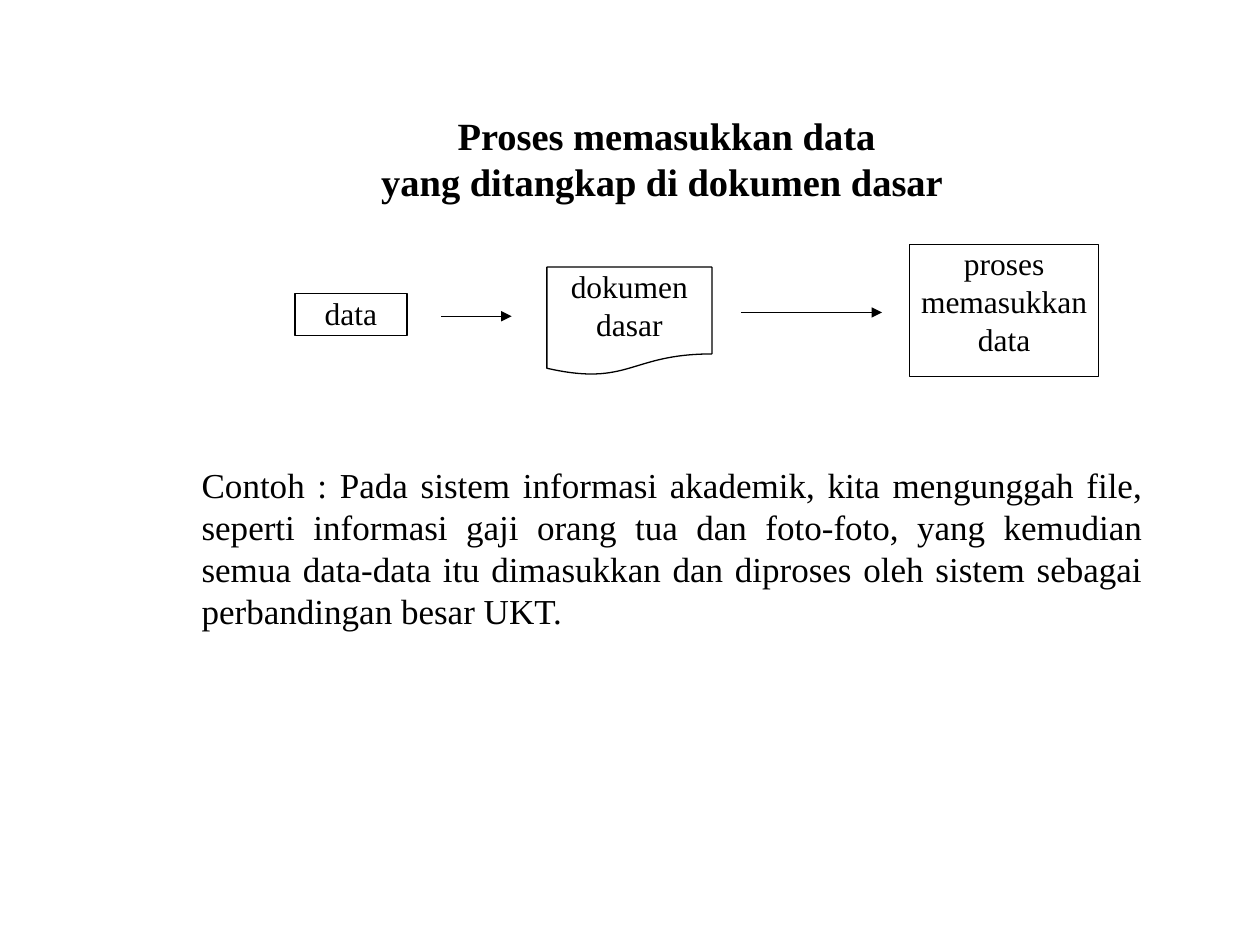
from lxml import etree
from pptx import Presentation
from pptx.dml.color import RGBColor
from pptx.enum.shapes import MSO_CONNECTOR, MSO_SHAPE
from pptx.enum.text import MSO_ANCHOR, MSO_AUTO_SIZE, PP_ALIGN
from pptx.oxml.ns import qn
from pptx.util import Pt

RECT, DOCUMENT = MSO_SHAPE.RECTANGLE, MSO_SHAPE.FLOWCHART_DOCUMENT
CENTER, JUSTIFY = PP_ALIGN.CENTER, PP_ALIGN.JUSTIFY
TOP, MIDDLE = MSO_ANCHOR.TOP, MSO_ANCHOR.MIDDLE
BLACK = RGBColor(0, 0, 0)
FONT = "Times New Roman"
LINE_WIDTH = 0.75

# Content; boxes are left, top, width, height in points
TITLE = "Proses memasukkan data\nyang ditangkap di dokumen dasar "
TITLE_BOX = (149.76, 48.24, 462.24, 84.24)
EXAMPLE = (
    "Contoh : Pada sistem informasi akademik, kita mengunggah file, "
    "seperti informasi gaji orang tua dan foto-foto, yang kemudian semua "
    "data-data itu dimasukkan dan diproses oleh sistem sebagai "
    "perbandingan besar UKT."
)
EXAMPLE_BOX = (108, 261.36, 552.24, 149.76)
STEPS = [
    ("data", RECT, (168.48, 167.76, 64.08, 24)),
    ("dokumen dasar", DOCUMENT, (312.48, 152.64, 94.32, 61.92)),
    ("proses\nmemasukkan\ndata", RECT, (519.84, 139.68, 108, 75.6)),
]
ARROWS = [(252, 292.32, 180.72), (423.36, 504, 178.56)]  # start x, end x, y


def format_text(shape, text, size, align, anchor, bold=False):
    frame = shape.text_frame
    frame.text = text
    frame.word_wrap = True
    frame.auto_size = MSO_AUTO_SIZE.NONE
    frame.vertical_anchor = anchor
    for paragraph in frame.paragraphs:
        paragraph.alignment = align
        paragraph.space_before = Pt(0)
        for run in paragraph.runs:
            run.font.name = FONT
            run.font.size = Pt(size)
            run.font.bold = bold
            run.font.color.rgb = BLACK


def place(shape, box):
    shape.left, shape.top, shape.width, shape.height = map(Pt, box)


def add_step(slide, text, kind, box):
    step = slide.shapes.add_shape(kind, *map(Pt, box))
    step.shadow.inherit = False
    step.fill.background()
    step.line.color.rgb = BLACK
    step.line.width = Pt(LINE_WIDTH)
    format_text(step, text, 18, CENTER, TOP)
    frame = step.text_frame
    frame.margin_left = frame.margin_right = Pt(0)
    frame.margin_top = frame.margin_bottom = Pt(0)


def add_arrow(slide, start, end, y):
    arrow = slide.shapes.add_connector(
        MSO_CONNECTOR.STRAIGHT, Pt(start), Pt(y), Pt(end), Pt(y))
    arrow.line.color.rgb = BLACK
    arrow.line.width = Pt(LINE_WIDTH)
    etree.SubElement(arrow.line._get_or_add_ln(), qn("a:tailEnd"), type="triangle")
    etree.SubElement(arrow._element.spPr, qn("a:effectLst"))


def main():
    prs = Presentation()
    prs.slide_width, prs.slide_height = Pt(720), Pt(540)
    slide = prs.slides.add_slide(prs.slide_layouts[1])

    # Title
    title = slide.shapes.title
    place(title, TITLE_BOX)
    format_text(title, TITLE, 22, CENTER, MIDDLE, bold=True)

    # Flow from data to input process
    for step in STEPS:
        add_step(slide, *step)
    for arrow in ARROWS:
        add_arrow(slide, *arrow)

    # Example paragraph, without bullet
    example = slide.placeholders[1]
    place(example, EXAMPLE_BOX)
    format_text(example, EXAMPLE, 20, JUSTIFY, TOP)
    properties = example.text_frame.paragraphs[0]._p.get_or_add_pPr()
    properties.set("marL", "0")
    properties.set("indent", "0")
    etree.SubElement(properties, qn("a:buNone"))

    prs.save("out.pptx")


if __name__ == "__main__":
    main()
